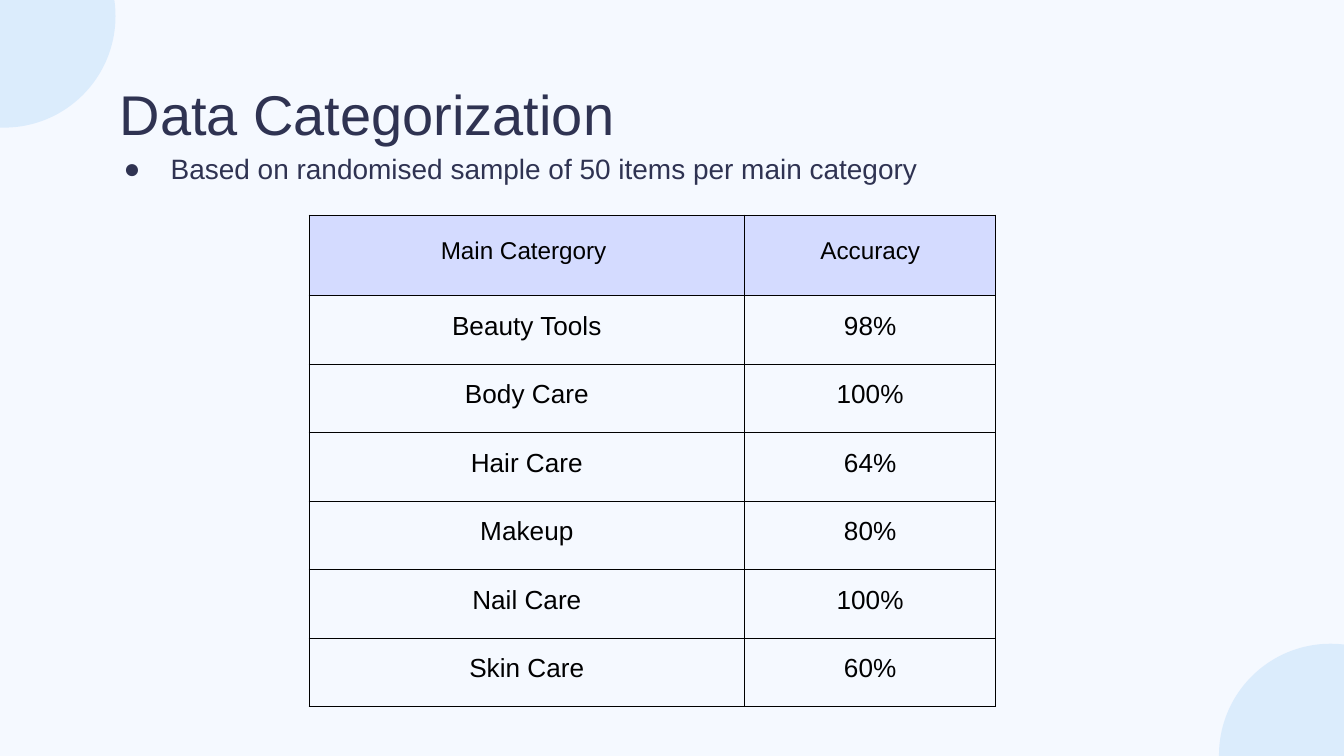
from lxml import etree
from pptx import Presentation
from pptx.dml.color import RGBColor
from pptx.enum.shapes import MSO_SHAPE
from pptx.enum.text import MSO_ANCHOR, MSO_AUTO_SIZE, PP_ALIGN
from pptx.oxml import parse_xml
from pptx.oxml.ns import nsdecls, qn
from pptx.util import Inches, Pt

OVAL = MSO_SHAPE.OVAL
TOP, MIDDLE = MSO_ANCHOR.TOP, MSO_ANCHOR.MIDDLE
LEFT, CENTER = PP_ALIGN.LEFT, PP_ALIGN.CENTER
FIXED = MSO_AUTO_SIZE.NONE

WIDTH = 10
HEIGHT = WIDTH * 9 / 16
FONT = "Arial"
COLORS = {"back": "F5F9FF", "disc": "76B8F4", "text": "2F3352",
          "head": "D4DBFF", "cell": "000000"}
DISC = 1.66
COLS = [3.24, 1.87]
HEAD_ROW, BODY_ROW = 0.6, 0.51
ROWS = [
    ("Main Catergory ", "Accuracy"),
    ("Beauty Tools", "98%"),
    ("Body Care", "100%"),
    ("Hair Care", "64%"),
    ("Makeup", "80%"),
    ("Nail Care", "100%"),
    ("Skin Care", "60%"),
]


def rgb(name):
    return RGBColor.from_string(COLORS[name])


def style(para, size, color, align, space):
    para.alignment = align
    para.line_spacing = space
    para.font.name = FONT
    para.font.size = Pt(size)
    para.font.color.rgb = rgb(color)


def add_disc(slide, left, top):
    disc = slide.shapes.add_shape(
        OVAL, Inches(left), Inches(top), Inches(DISC), Inches(DISC))
    disc.shadow.inherit = False
    disc.line.fill.background()
    disc.fill.solid()
    disc.fill.fore_color.rgb = rgb("disc")
    tint = disc.fill._xPr.find(".//" + qn("a:srgbClr"))
    etree.SubElement(tint, qn("a:alpha"), val="20000")


def set_text(holder, box, text):
    """Place a placeholder, fill it and return its paragraph."""
    holder.left, holder.top, holder.width, holder.height = map(Inches, box)
    frame = holder.text_frame
    frame.text = text
    frame.word_wrap = True
    frame.auto_size = FIXED
    frame.vertical_anchor = TOP
    frame.margin_left = frame.margin_right = Inches(0.1)
    frame.margin_top = frame.margin_bottom = Inches(0.1)
    para = frame.paragraphs[0]
    para.space_before = Pt(0)
    return para


def add_bullet(para):
    props = para._p.get_or_add_pPr()
    props.set("marL", str(Inches(0.5)))
    props.set("indent", str(Inches(-0.35)))
    tint = etree.SubElement(props, qn("a:buClr"))
    etree.SubElement(tint, qn("a:srgbClr"), val=COLORS["text"])
    etree.SubElement(props, qn("a:buFont"), typeface=FONT)
    etree.SubElement(props, qn("a:buChar"), char="●")


def add_border(cell):
    props = cell._tc.get_or_add_tcPr()
    for spot, side in enumerate("LRTB"):
        props.insert(spot, parse_xml(
            f'<a:ln{side} {nsdecls("a")} w="{Pt(0.5)}"><a:solidFill>'
            f'<a:srgbClr val="{COLORS["cell"]}"/></a:solidFill></a:ln{side}>'))


def fill_cell(cell, text, head):
    cell.text = text
    cell.vertical_anchor = MIDDLE
    cell.margin_left = cell.margin_right = cell.margin_top = Inches(0.01)
    cell.margin_bottom = Inches(0.1)
    style(cell.text_frame.paragraphs[0], 13 if head else 14, "cell", CENTER, 1.15)
    if head:
        cell.fill.solid()
        cell.fill.fore_color.rgb = rgb("head")
    else:
        cell.fill.background()
    add_border(cell)


def add_grid(slide, left, top):
    highs = [HEAD_ROW] + [BODY_ROW] * (len(ROWS) - 1)
    grid = slide.shapes.add_table(
        len(ROWS), len(COLS), Inches(left), Inches(top),
        Inches(sum(COLS)), Inches(sum(highs))).table
    grid.horz_banding = False
    for col, wide in zip(grid.columns, COLS):
        col.width = Inches(wide)
    for r, (high, row) in enumerate(zip(highs, ROWS)):
        grid.rows[r].height = Inches(high)
        for c, text in enumerate(row):
            fill_cell(grid.cell(r, c), text, r == 0)


def main():
    deck = Presentation()
    deck.slide_width, deck.slide_height = Inches(WIDTH), Inches(HEIGHT)
    slide = deck.slides.add_slide(deck.slide_layouts[1])
    slide.background.fill.solid()
    slide.background.fill.fore_color.rgb = rgb("back")
    add_disc(slide, -0.8, -0.71)
    add_disc(slide, 9.07, 4.79)
    title = set_text(slide.shapes.title, (0.79, 0.49, 8.43, 0.63),
                     "Data Categorization")
    style(title, 30, "text", LEFT, 1.0)
    add_grid(slide, 2.3, 1.6)
    note = set_text(slide.placeholders[1], (0.67, 1.03, 7.29, 0.63),
                    "Based on randomised sample of 50 items per main category")
    add_bullet(note)
    style(note, 15, "text", LEFT, 1.0)
    deck.save("out.pptx")


if __name__ == "__main__":
    main()
